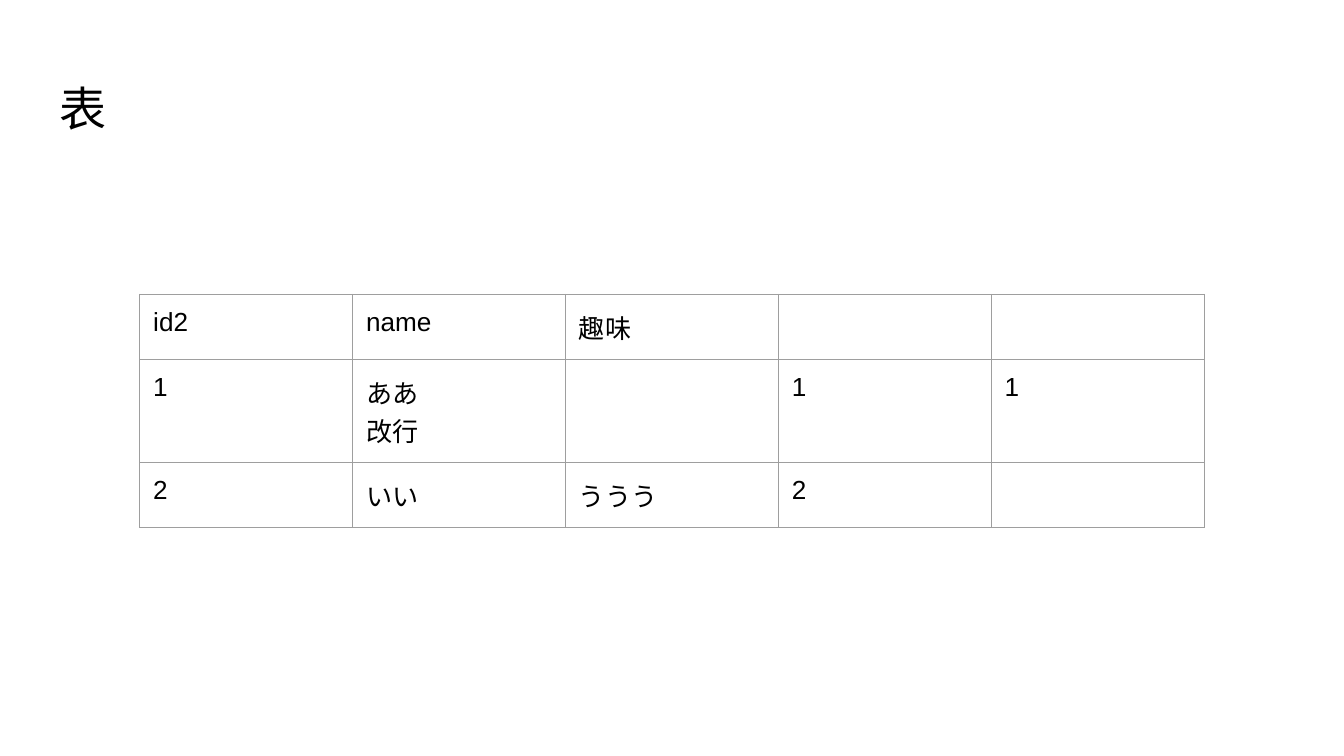
from lxml.etree import SubElement
from pptx import Presentation
from pptx.dml.color import RGBColor
from pptx.enum.text import MSO_ANCHOR, MSO_AUTO_SIZE, PP_ALIGN
from pptx.oxml.ns import qn
from pptx.util import Inches, Pt

TITLE = "表"
ROWS = [
    ("id2", "name", "趣味", "", ""),
    ("1", "ああ\n改行", "", "1", "1"),
    ("2", "いい", "ううう", "2", ""),
]
COLORS = {"text": "000000", "border": "9E9E9E"}
FONT = "Arial"
SLIDE_WIDTH = Inches(10)
SLIDE_HEIGHT = SLIDE_WIDTH * 9 // 16
GRID_WIDTH, ROW_HEIGHT = Inches(7.92), Inches(0.42)
PADDING = Inches(0.1)
BORDER_WIDTH = Pt(0.75)


def write(frame, text, size, color=COLORS["text"], align=PP_ALIGN.LEFT):
    """Fill a text frame, one paragraph per line of text."""
    frame.text = text
    for paragraph in frame.paragraphs:
        paragraph.alignment = align
        for run in paragraph.runs:
            run.font.name = FONT
            run.font.size = Pt(size)
            run.font.color.rgb = RGBColor.from_string(color)
        if not paragraph.runs:
            SubElement(paragraph._p, qn("a:endParaRPr"), sz=str(size * 100))


def set_padding(holder):
    """Give a cell or text frame equal inner margins."""
    holder.margin_left = holder.margin_right = PADDING
    holder.margin_top = holder.margin_bottom = PADDING


def add_borders(cell):
    """Draw a thin line on all four sides of a cell."""
    properties = cell._tc.get_or_add_tcPr()
    for index, side in enumerate(("lnL", "lnR", "lnT", "lnB")):
        line = SubElement(properties, qn(f"a:{side}"), w=str(int(BORDER_WIDTH)))
        fill = SubElement(line, qn("a:solidFill"))
        SubElement(fill, qn("a:srgbClr"), val=COLORS["border"])
        properties.insert(index, line)


def add_grid(slide):
    """Add the table with equal columns and rows."""
    column_count = len(ROWS[0])
    grid = slide.shapes.add_table(
        len(ROWS), column_count, Inches(1.04), Inches(2.19),
        GRID_WIDTH, ROW_HEIGHT * len(ROWS),
    ).table
    grid.first_row = grid.horz_banding = False
    for column in grid.columns:
        column.width = GRID_WIDTH // column_count
    for row, values in zip(grid.rows, ROWS):
        row.height = ROW_HEIGHT
        for cell, value in zip(row.cells, values):
            write(cell.text_frame, value, 14)
            set_padding(cell)
            cell.fill.background()
            add_borders(cell)


presentation = Presentation()
presentation.slide_width, presentation.slide_height = SLIDE_WIDTH, SLIDE_HEIGHT
slide = presentation.slides.add_slide(presentation.slide_layouts[5])

heading = slide.shapes.title
heading.left, heading.top = Inches(0.34), Inches(0.49)
heading.width, heading.height = Inches(9.32), Inches(0.63)
write(heading.text_frame, TITLE, 25.2)
set_padding(heading.text_frame)
heading.text_frame.auto_size = MSO_AUTO_SIZE.NONE
heading.text_frame.vertical_anchor = MSO_ANCHOR.MIDDLE

add_grid(slide)
presentation.save("out.pptx")
